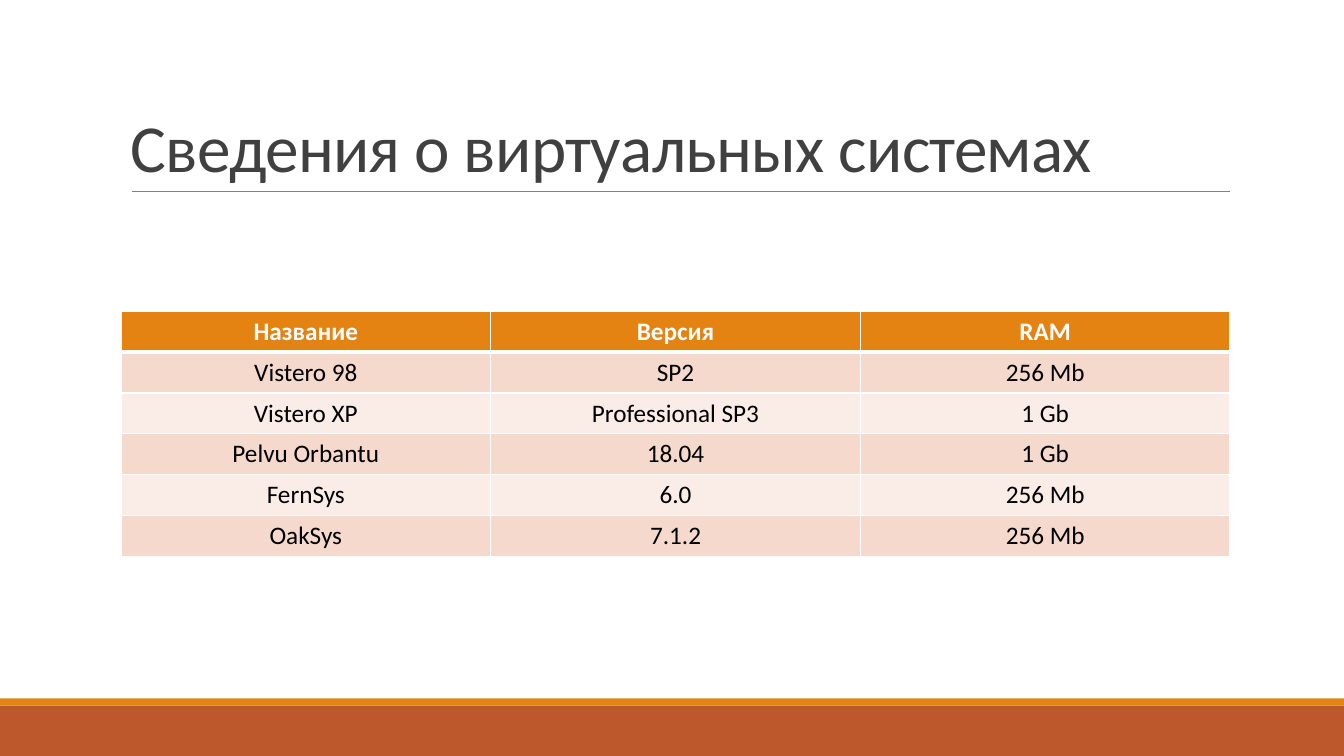
import pptx
import pptx.dml.color
import pptx.enum.shapes
import pptx.enum.text
import pptx.oxml
import pptx.oxml.ns
import pptx.util

RGBColor = pptx.dml.color.RGBColor
Inches = pptx.util.Inches
Pt = pptx.util.Pt

TITLE = "Сведения о виртуальных системах"
SYSTEMS = [
    ("Название", "Версия", "RAM"),
    ("Vistero 98", "SP2", "256 Mb"),
    ("Vistero XP", "Professional SP3", "1 Gb"),
    ("Pelvu Orbantu", "18.04", "1 Gb"),
    ("FernSys", "6.0", "256 Mb"),
    ("OakSys", "7.1.2", "256 Mb"),
]

WHITE = RGBColor(0xFF, 0xFF, 0xFF)
BLACK = RGBColor(0x00, 0x00, 0x00)
DARK = RGBColor(0x40, 0x40, 0x40)
GREY = RGBColor(0x80, 0x80, 0x80)
ORANGE = RGBColor(0xE4, 0x83, 0x12)
RUST = RGBColor(0xBD, 0x58, 0x2C)
BANDS = [RGBColor(0xFA, 0xED, 0xE7), RGBColor(0xF5, 0xD9, 0xCC)]

WIDTH, HEIGHT = 13.33, 7.5
LEFT, CONTENT_WIDTH = 1.2, 11
TITLE_TOP, TITLE_BOTTOM = 0.31, 1.9
TABLE_TOP, TABLE_HEIGHT = 3.09, 2.43
FOOTER_TOP, STRIPE_HEIGHT = 7, 0.07

TITLE_FONT = {"name": "Calibri", "size": Pt(48)}
HEAD_FONT = {"name": "Calibri", "size": Pt(18), "bold": True}
BODY_FONT = {**HEAD_FONT, "bold": False}


def write(tf, text, font, color):
    p = tf.paragraphs[0]
    r = p.add_run()
    r.text = text
    for name, value in font.items():
        setattr(r.font, name, value)
    r.font.color.rgb = color
    return p, r


def add_bar(slide, top, height, color):
    sp = slide.shapes.add_shape(
        pptx.enum.shapes.MSO_SHAPE.RECTANGLE,
        0, Inches(top), Inches(WIDTH), Inches(height))
    sp.shadow.inherit = False
    sp.fill.solid()
    sp.fill.fore_color.rgb = color
    sp.line.fill.background()


def add_title(slide):
    line = slide.shapes.add_connector(
        pptx.enum.shapes.MSO_CONNECTOR.STRAIGHT,
        Inches(LEFT + 0.11), Inches(TITLE_BOTTOM),
        Inches(LEFT + CONTENT_WIDTH), Inches(TITLE_BOTTOM))
    line.line.color.rgb = GREY
    line.line.width = Pt(0.5)
    line._element.spPr.append(pptx.oxml.parse_xml(
        f"<a:effectLst {pptx.oxml.ns.nsdecls('a')}/>"))

    tf = slide.shapes.add_textbox(
        Inches(LEFT), Inches(TITLE_TOP),
        Inches(CONTENT_WIDTH), Inches(TITLE_BOTTOM - TITLE_TOP)).text_frame
    tf.word_wrap = True
    tf.vertical_anchor = pptx.enum.text.MSO_ANCHOR.BOTTOM
    p, r = write(tf, TITLE, TITLE_FONT, DARK)
    p.line_spacing = 0.85
    r.font._element.set("spc", "-50")


def set_borders(cell, bottom, top):
    """Draw white cell edges, with the top and bottom widths in points."""
    props = cell._tc.get_or_add_tcPr()
    edges = {"lnL": 1, "lnR": 1, "lnT": top, "lnB": bottom}
    for i, (tag, width) in enumerate(edges.items()):
        props.insert(i, pptx.oxml.parse_xml(
            f"<a:{tag} {pptx.oxml.ns.nsdecls('a')} w='{Pt(width)}'>"
            f"<a:solidFill><a:srgbClr val='{WHITE}'/></a:solidFill></a:{tag}>"))


def add_systems_table(slide):
    table = slide.shapes.add_table(
        len(SYSTEMS), len(SYSTEMS[0]), Inches(LEFT), Inches(TABLE_TOP),
        Inches(CONTENT_WIDTH), Inches(TABLE_HEIGHT)).table
    for i, values in enumerate(SYSTEMS):
        for j, text in enumerate(values):
            cell = table.cell(i, j)
            cell.fill.solid()
            cell.fill.fore_color.rgb = BANDS[i % 2] if i else ORANGE
            cell.vertical_anchor = pptx.enum.text.MSO_ANCHOR.MIDDLE
            p, _ = write(cell.text_frame, text,
                         BODY_FONT if i else HEAD_FONT, BLACK if i else WHITE)
            p.alignment = pptx.enum.text.PP_ALIGN.CENTER
            set_borders(cell, bottom=1 if i else 3, top=3 if i == 1 else 1)


def main():
    prs = pptx.Presentation()
    prs.slide_width, prs.slide_height = Inches(WIDTH), Inches(HEIGHT)
    slide = prs.slides.add_slide(prs.slide_layouts[6])
    add_bar(slide, FOOTER_TOP, HEIGHT - FOOTER_TOP, RUST)
    add_bar(slide, FOOTER_TOP - STRIPE_HEIGHT, STRIPE_HEIGHT, ORANGE)
    add_title(slide)
    add_systems_table(slide)
    prs.save("out.pptx")


if __name__ == "__main__":
    main()
